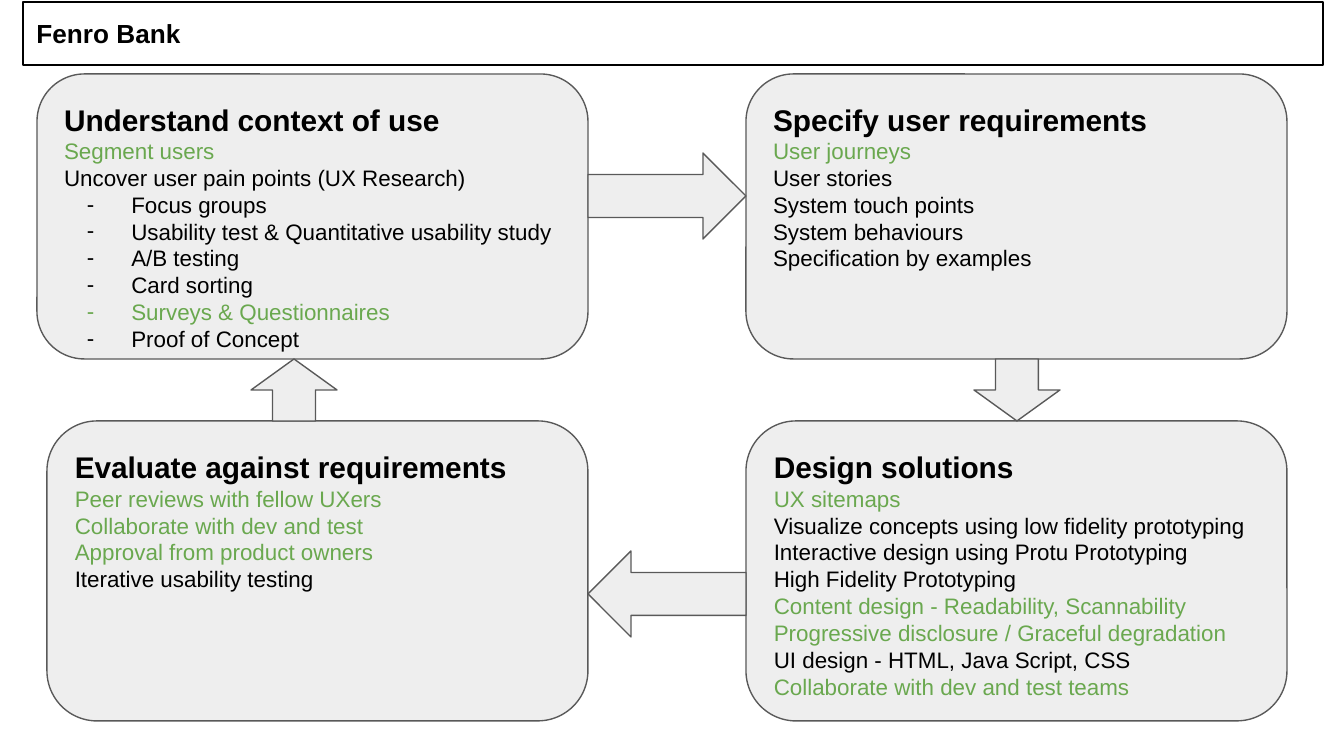
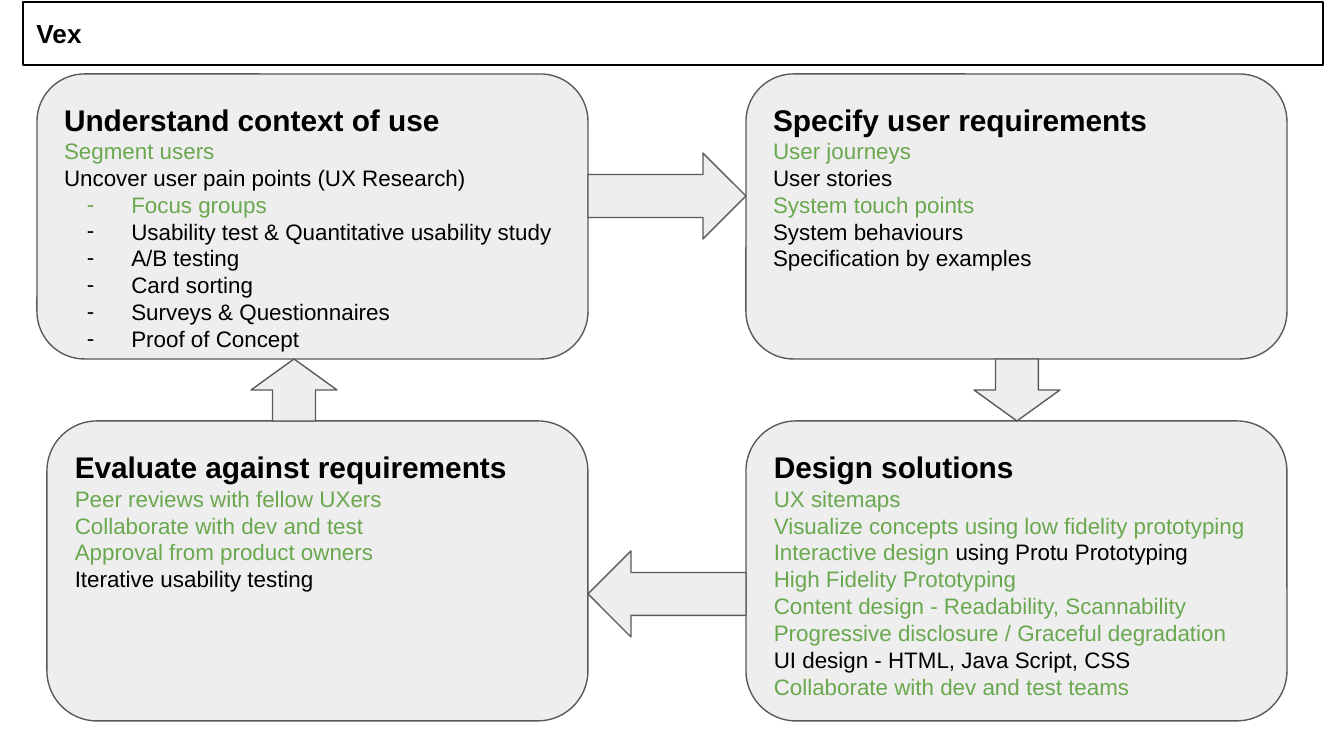
"""Builds two slides that show which UX cycle activities each client used."""
from lxml import etree
from pptx import Presentation
from pptx import util as u
from pptx.dml.color import RGBColor
from pptx.enum import shapes, text
from pptx.oxml.ns import qn

SCALE = 914400 / 134.4
INK = RGBColor(0x00, 0x00, 0x00)
GREEN = RGBColor(0x6A, 0xA8, 0x4F)
PANEL = RGBColor(0xEE, 0xEE, 0xEE)
EDGE = RGBColor(0x59, 0x59, 0x59)
FONT = "Arial"
KIND = shapes.MSO_SHAPE

TITLE = (23, 2, 1300, 63)
LEFT, RIGHT, TOP, LOW = 588, 746, 74, 421
WIDE, HIGH, DEEP = 541, 285, 300
ARROW = 86

STAGES = [
    ((37, TOP, LEFT - 37, HIGH), "Understand context of use", [
        "Segment users",
        "Uncover user pain points (UX Research)",
        "- Focus groups",
        "- Usability test & Quantitative usability study",
        "- A/B testing",
        "- Card sorting",
        "- Surveys & Questionnaires",
        "- Proof of Concept"]),
    ((RIGHT, TOP, WIDE, HIGH), "Specify user requirements", [
        "User journeys",
        "User stories",
        "System touch points",
        "System behaviours",
        "Specification by examples"]),
    ((RIGHT, LOW, WIDE, DEEP), "Design solutions", [
        "UX sitemaps",
        "Visualize concepts using low fidelity prototyping",
        "Interactive design using Protu Prototyping",
        "High Fidelity Prototyping",
        "Content design - Readability, Scannability",
        "Progressive disclosure / Graceful degradation",
        "UI design - HTML, Java Script, CSS",
        "Collaborate with dev and test teams"]),
    ((LEFT - WIDE, LOW, WIDE, DEEP), "Evaluate against requirements", [
        "Peer reviews with fellow UXers",
        "Collaborate with dev and test",
        "Approval from product owners",
        "Iterative usability testing"]),
]

GAP, DROP = RIGHT - LEFT, LOW - TOP - HIGH
ARROWS = [
    (KIND.RIGHT_ARROW, (LEFT, 153, GAP, ARROW)),
    (KIND.LEFT_ARROW, (LEFT, 551, GAP, ARROW)),
    (KIND.DOWN_ARROW, (974, TOP + HIGH, ARROW, DROP)),
    (KIND.UP_ARROW, (251, TOP + HIGH, ARROW, DROP)),
]

SHARED = [
    "Segment users", "User journeys", "UX sitemaps",
    "Content design - Readability, Scannability",
    "Progressive disclosure / Graceful degradation",
    "Collaborate with dev and test teams",
    "Peer reviews with fellow UXers",
    "Collaborate with dev and test",
    "Approval from product owners"]
CLIENTS = [
    ("Fenro Bank", SHARED + ["Surveys & Questionnaires"]),
    ("Vex", SHARED + [
        "Focus groups", "System touch points",
        "Visualize concepts using low fidelity prototyping",
        "Interactive design", "High Fidelity Prototyping"]),
]


def px(num):
    """Turn pixels into EMU."""
    return u.Emu(round(num * SCALE))


def style(run, size, color, bold=False):
    """Format one run."""
    run.font.name, run.font.size = FONT, u.Pt(size)
    run.font.bold, run.font.color.rgb = bold, color


def frame(shape, anchor):
    """Set margins, wrapping and anchor of a shape's text."""
    body = shape.text_frame
    body.margin_left = body.margin_right = u.Inches(0.1)
    body.margin_top = body.margin_bottom = u.Inches(0.1)
    body.word_wrap, body.vertical_anchor = True, anchor
    body.auto_size = text.MSO_AUTO_SIZE.NONE
    return body


def block(slide, kind, box):
    """Add a grey outlined shape."""
    shape = slide.shapes.add_shape(kind, *map(px, box))
    shape.shadow.inherit = False
    shape.fill.solid()
    shape.fill.fore_color.rgb = PANEL
    shape.line.color.rgb, shape.line.width = EDGE, u.Pt(0.75)
    return shape


def dash(para, color):
    """Give a paragraph a hanging dash bullet."""
    props = para._p.get_or_add_pPr()
    props.set("marL", str(u.Inches(0.5)))
    props.set("indent", str(u.Inches(-0.33)))
    tint = etree.SubElement(props, qn("a:buClr"))
    etree.SubElement(tint, qn("a:srgbClr"), val=str(color))
    etree.SubElement(props, qn("a:buFont"), typeface=FONT)
    etree.SubElement(props, qn("a:buChar"), char="-")


def write(para, line, size, done=(), bold=False):
    """Write a line whose completed start is green."""
    para.alignment = text.PP_ALIGN.LEFT
    para.line_spacing = u.Pt(1.2 * size)
    words = line.removeprefix("- ")
    head = max(filter(words.startswith, done), key=len, default="")
    if words != line:
        dash(para, GREEN if head else INK)
    for part, color in ((head, GREEN), (words[len(head):], INK)):
        if part:
            run = para.add_run()
            run.text = part
            style(run, size, color, bold)


def stage(slide, box, name, lines, done):
    """Draw one stage of the cycle with its activities."""
    shape = block(slide, KIND.ROUNDED_RECTANGLE, box)
    body = frame(shape, text.MSO_ANCHOR.TOP)
    write(body.paragraphs[0], name, 16, bold=True)
    for line in lines:
        write(body.add_paragraph(), line, 12, done)


def banner(slide, box, name):
    """Place the outlined title."""
    title = slide.shapes.title
    title.left, title.top, title.width, title.height = map(px, box)
    title.line.color.rgb, title.line.width = INK, u.Pt(0.75)
    body = frame(title, text.MSO_ANCHOR.MIDDLE)
    body.text = name
    body.paragraphs[0].alignment = text.PP_ALIGN.LEFT
    style(body.paragraphs[0].runs[0], 14, INK, True)


def cycle(deck, name, done):
    """Add the slide of one client."""
    slide = deck.slides.add_slide(deck.slide_layouts.get_by_name("Title Only"))
    banner(slide, TITLE, name)
    for box, label, lines in STAGES:
        stage(slide, box, label, lines, done)
    for kind, box in ARROWS:
        block(slide, kind, box)


deck = Presentation()
deck.slide_width, deck.slide_height = px(1344), px(756)
for name, done in CLIENTS:
    cycle(deck, name, done)
deck.save("out.pptx")
